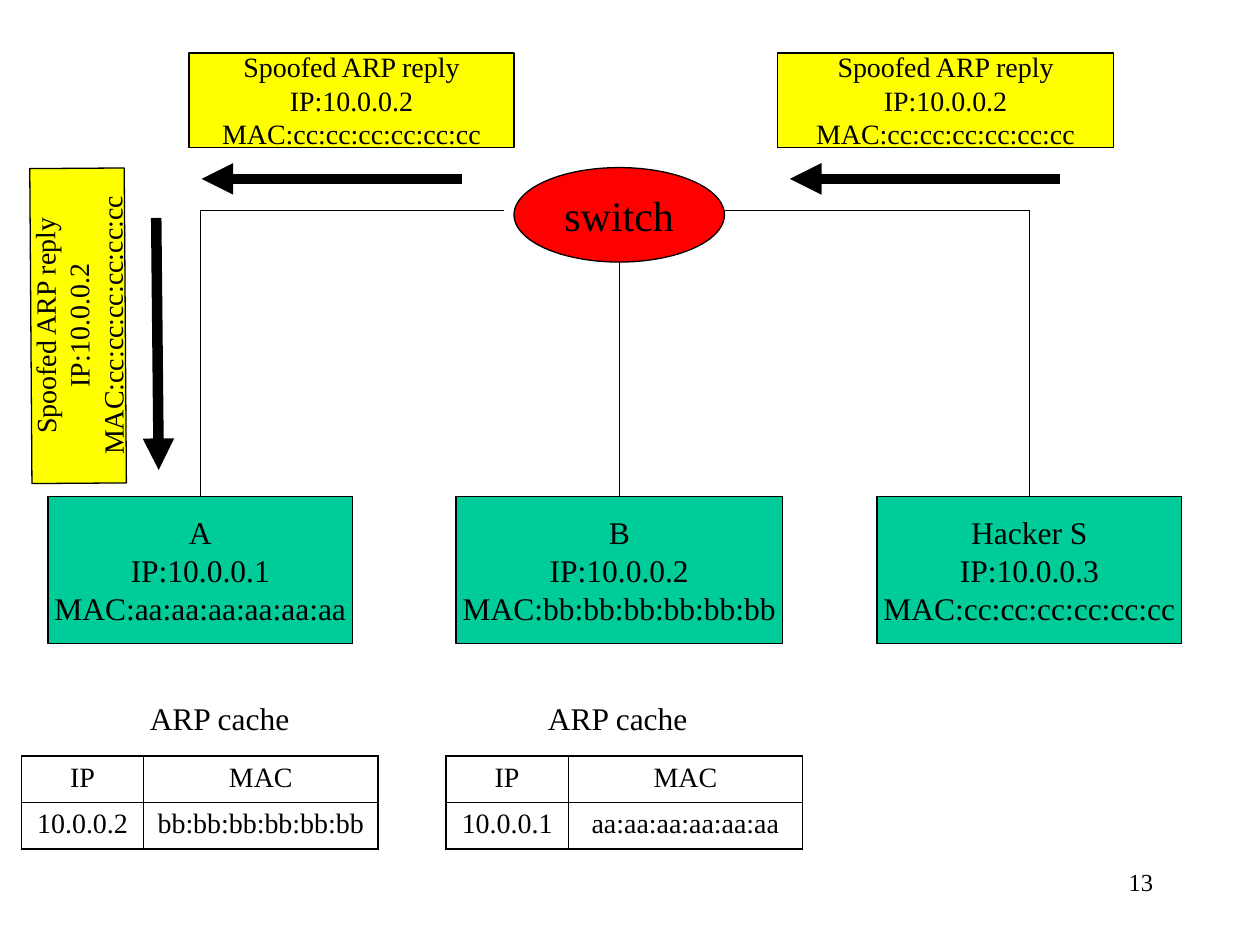
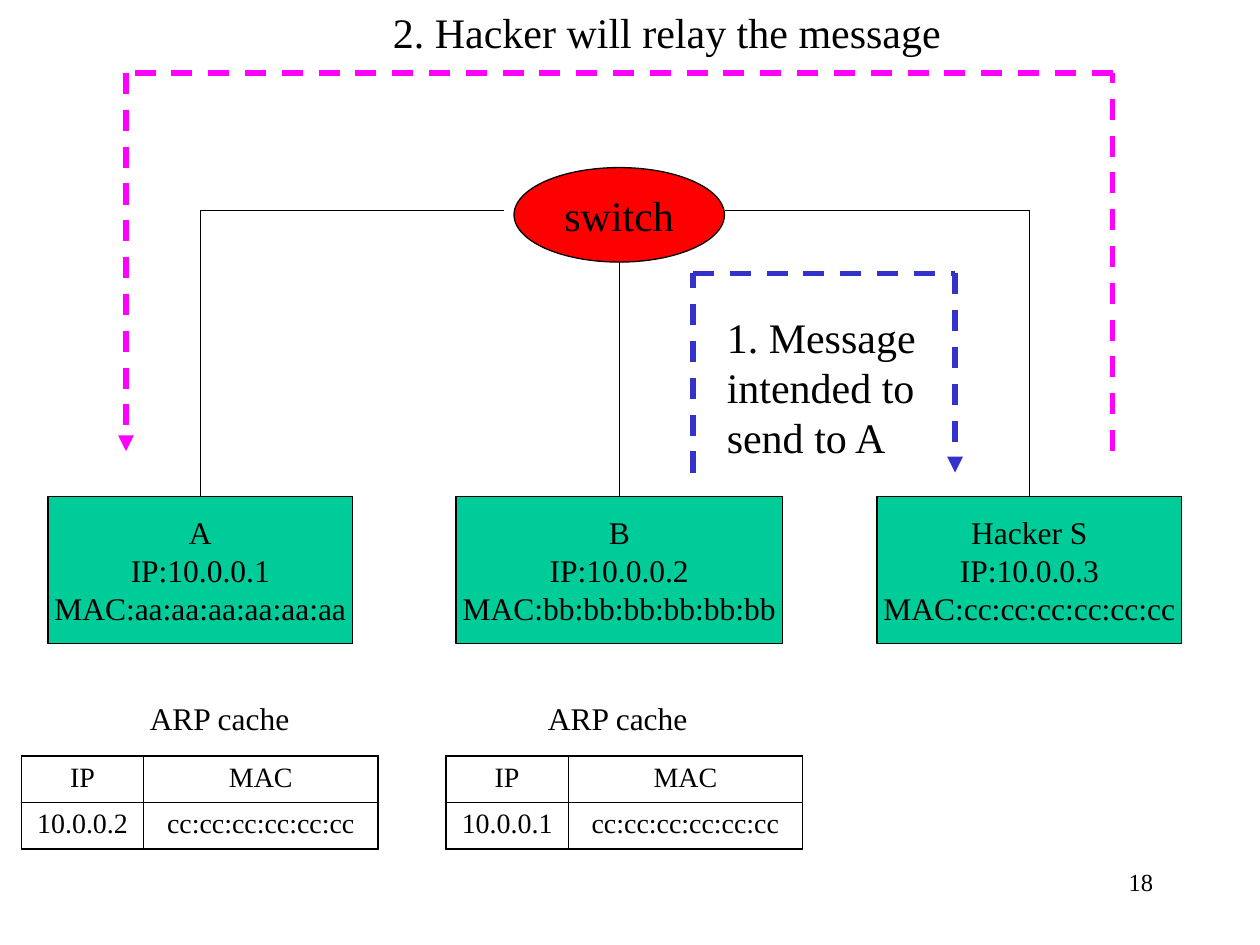
import dataclasses

import lxml.etree
import pptx
import pptx.dml.color
import pptx.enum.dml
import pptx.enum.shapes
import pptx.enum.text
import pptx.oxml.ns
import pptx.util

Inches = pptx.util.Inches
Pt = pptx.util.Pt
SHAPE = pptx.enum.shapes.MSO_SHAPE
ALIGN = pptx.enum.text.PP_ALIGN
AUTO_SIZE = pptx.enum.text.MSO_AUTO_SIZE


@dataclasses.dataclass(frozen=True)
class Theme:
    font: str = "Times New Roman"
    ink: str = "000000"
    host: str = "00CC99"
    switch: str = "FF0000"
    spoof: str = "FFFF00"
    relay: str = "FF00FF"
    message: str = "3333CC"
    heading_size: int = 24
    body_size: int = 18
    detail_size: int = 16
    number_size: int = 14
    thin: float = 0.75
    route: float = 3
    arrow: float = 6
    outer_border: float = 1.08
    inner_border: float = 0.45


THEME = Theme()

# Name, IP, MAC, left and width of each host
HOSTS = [
    ("A", "10.0.0.1", "aa:aa:aa:aa:aa:aa", 0.38, 2.42),
    ("B", "10.0.0.2", "bb:bb:bb:bb:bb:bb", 3.62, 2.59),
    ("Hacker S", "10.0.0.3", "cc:cc:cc:cc:cc:cc", 6.96, 2.42),
]
IP_A, IP_B, _ = (host[1] for host in HOSTS)
MAC_A, MAC_B, MAC_HACKER = (host[2] for host in HOSTS)
HOST_TOP, HOST_HEIGHT = 3.94, 1.17
SWITCH_BOX = (4.08, 1.33, 1.67, 0.75)
WIRE_Y = 1.67
SPOOF_LINES = ["Spoofed ARP reply", f"IP:{IP_B}", f"MAC:{MAC_HACKER}"]


def rgb(colour):
    return pptx.dml.color.RGBColor.from_string(colour)


def write(frame, lines, size, align=ALIGN.LEFT, space_before=0):
    for index, line in enumerate(lines):
        paragraph = frame.add_paragraph() if index else frame.paragraphs[0]
        paragraph.alignment = align
        paragraph.space_before = Pt(space_before)
        run = paragraph.add_run()
        run.text = line
        run.font.name = THEME.font
        run.font.size = Pt(size)
        run.font.color.rgb = rgb(THEME.ink)


def add_box(shapes, kind, place, lines, fill, size):
    """Add a filled shape with thin outline and centred, unwrapped text."""
    box = shapes.add_shape(kind, *map(Inches, place))
    box.shadow.inherit = False
    box.fill.solid()
    box.fill.fore_color.rgb = rgb(fill)
    box.line.color.rgb = rgb(THEME.ink)
    box.line.width = Pt(THEME.thin)
    frame = box.text_frame
    frame.word_wrap = False
    frame.vertical_anchor = pptx.enum.text.MSO_ANCHOR.MIDDLE
    write(frame, lines, size, ALIGN.CENTER)
    return box


def add_label(shapes, place, lines, size, align=ALIGN.LEFT, wrap=False, grow=True):
    frame = shapes.add_textbox(*map(Inches, place)).text_frame
    frame.word_wrap = wrap
    frame.auto_size = AUTO_SIZE.SHAPE_TO_FIT_TEXT if grow else AUTO_SIZE.NONE
    write(frame, lines, size, align)


def add_line(shapes, start, end, colour=THEME.ink, width=THEME.thin, dashed=False, arrow=False):
    line = shapes.add_connector(
        pptx.enum.shapes.MSO_CONNECTOR.STRAIGHT, *map(Inches, (*start, *end)))
    line.line.color.rgb = rgb(colour)
    line.line.width = Pt(width)
    if dashed:
        line.line.dash_style = pptx.enum.dml.MSO_LINE.DASH
    properties = line._element.spPr
    if arrow:
        lxml.etree.SubElement(
            properties.find(pptx.oxml.ns.qn("a:ln")),
            pptx.oxml.ns.qn("a:tailEnd"), type="triangle")
    lxml.etree.SubElement(properties, pptx.oxml.ns.qn("a:effectLst"))
    return line


def add_route(shapes, points, colour):
    """Draw a dashed path through the points, with an arrowhead at its end."""
    legs = list(zip(points, points[1:]))
    for leg in legs:
        add_line(shapes, *leg, colour, THEME.route, dashed=True, arrow=leg == legs[-1])


def set_borders(cell, widths):
    """Set border widths in the order left, right, top, bottom."""
    properties = cell._tc.get_or_add_tcPr()
    for index, (side, width) in enumerate(zip("LRTB", widths)):
        border = lxml.etree.Element(
            pptx.oxml.ns.qn(f"a:ln{side}"), w=str(int(Pt(width))))
        fill = lxml.etree.SubElement(border, pptx.oxml.ns.qn("a:solidFill"))
        lxml.etree.SubElement(fill, pptx.oxml.ns.qn("a:srgbClr"), val=THEME.ink)
        properties.insert(index, border)


def add_arp_cache(shapes, label_left, table_left, ip, mac):
    add_label(shapes, (label_left, 5.5, 1.32, 0.4), ["ARP cache"], THEME.body_size)
    place = map(Inches, (table_left, 6, 2.83, 0.74))
    table = shapes.add_table(2, 2, *place).table
    table.first_row = table.horz_banding = False
    for column, width in zip(table.columns, (0.97, 1.86)):
        column.width = Inches(width)
    outer, inner = THEME.outer_border, THEME.inner_border
    for row, texts in enumerate([("IP", "MAC"), (ip, mac)]):
        for column, text in enumerate(texts):
            cell = table.cell(row, column)
            cell.fill.background()
            sides = [(inner, outer) if last else (outer, inner) for last in (column, row)]
            set_borders(cell, sides[0] + sides[1])
            write(cell.text_frame, [text], THEME.detail_size, ALIGN.CENTER, space_before=4)


def add_network(shapes):
    hosts = [
        add_box(shapes, SHAPE.RECTANGLE, (left, HOST_TOP, width, HOST_HEIGHT),
                [name, f"IP:{ip}", f"MAC:{mac}"], THEME.host, THEME.body_size)
        for name, ip, mac, left, width in HOSTS
    ]
    add_box(shapes, SHAPE.OVAL, SWITCH_BOX, ["switch"], THEME.switch, THEME.heading_size)
    a_x, b_x, hacker_x = (left + width / 2 for *_, left, width in HOSTS)
    switch_left, switch_top, switch_width, switch_height = SWITCH_BOX
    drops = [(a_x, WIRE_Y), (b_x, switch_top + switch_height), (hacker_x, WIRE_Y)]
    for host, start in zip(hosts, drops):
        add_line(shapes, start, (start[0], HOST_TOP)).end_connect(host, 0)
    add_line(shapes, (a_x, WIRE_Y), (4, WIRE_Y))
    add_line(shapes, (switch_left + switch_width, WIRE_Y), (hacker_x, WIRE_Y))


def add_spoofed_reply(shapes, place, start, end, rotation=0):
    reply = shapes.add_group_shape().shapes
    box = add_box(reply, SHAPE.RECTANGLE, place, SPOOF_LINES, THEME.spoof, THEME.detail_size)
    box.rotation = rotation
    add_line(reply, start, end, width=THEME.arrow, arrow=True)


def add_scene(deck, number, mac_of_b, mac_of_a):
    """Add a slide with the network, both ARP caches and the slide number."""
    shapes = deck.slides.add_slide(deck.slide_layouts[6]).shapes
    add_network(shapes)
    add_arp_cache(shapes, 1.09, 0.17, IP_B, mac_of_b)
    add_arp_cache(shapes, 4.25, 3.54, IP_A, mac_of_a)
    add_label(shapes, (7.17, 6.83, 2.08, 0.5), [number], THEME.number_size,
              ALIGN.RIGHT, wrap=True, grow=False)
    return shapes


def add_spoofing_slide(deck):
    shapes = add_scene(deck, "13", MAC_B, MAC_A)
    add_spoofed_reply(shapes, (6.17, 0.42, 2.67, 0.75), (8.41, 1.42), (6.27, 1.42))
    add_spoofed_reply(shapes, (-0.63, 2.21, 2.5, 0.75), (1.24, 1.73), (1.26, 3.73), 269.6)
    add_spoofed_reply(shapes, (1.5, 0.42, 2.58, 0.75), (3.67, 1.42), (1.6, 1.42))


def add_relay_slide(deck):
    shapes = add_scene(deck, "18", MAC_HACKER, MAC_HACKER)
    add_route(shapes, [(8.83, 3.58), (8.83, 0.58), (1, 0.58), (1, 3.58)], THEME.relay)
    add_label(shapes, (3.02, 0, 4.55, 0.5), ["2. Hacker will relay the message"],
              THEME.heading_size)
    add_route(shapes, [(5.5, 3.75), (5.5, 2.17), (7.58, 2.17), (7.58, 3.75)], THEME.message)
    add_label(shapes, (5.67, 2.42, 1.83, 1.3), ["1. Message", "intended to", "send to A"],
              THEME.heading_size, wrap=True)


def main():
    deck = pptx.Presentation()
    deck.slide_width, deck.slide_height = Inches(10), Inches(7.5)
    add_spoofing_slide(deck)
    add_relay_slide(deck)
    deck.save("out.pptx")


if __name__ == "__main__":
    main()
